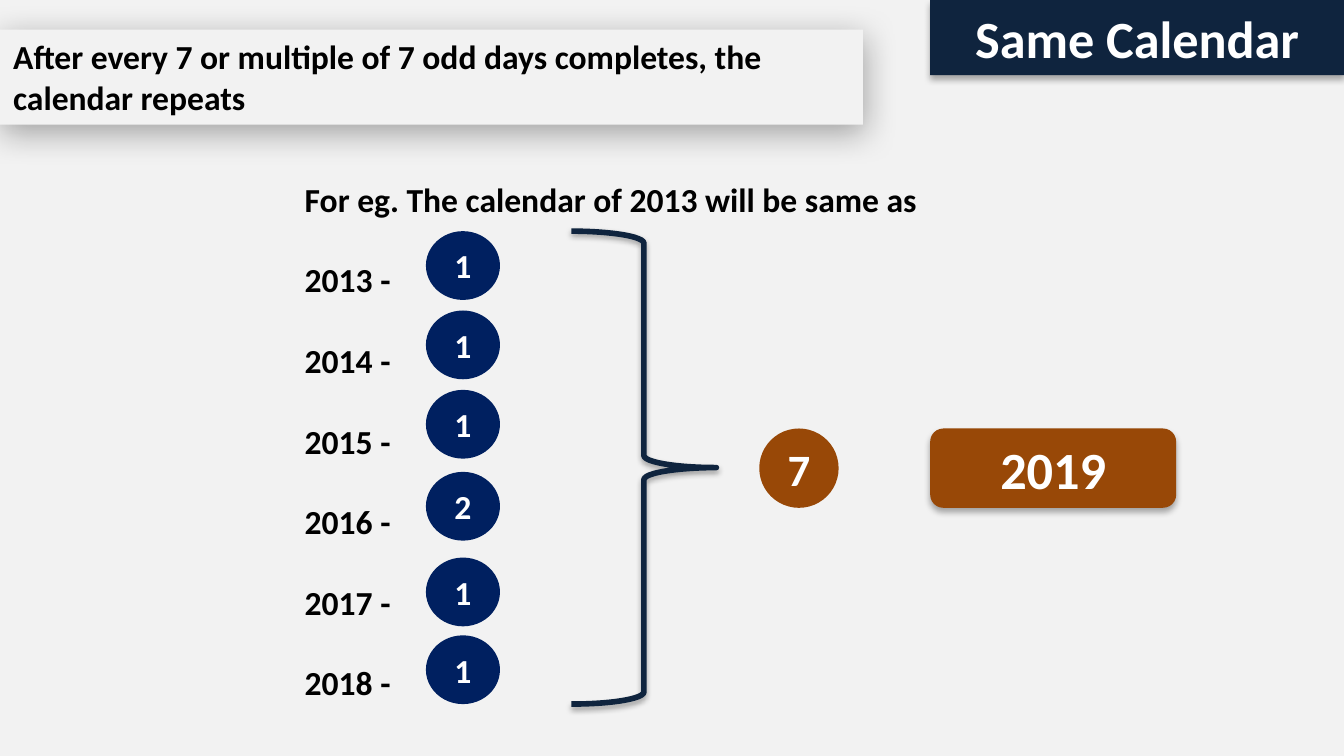
from lxml.etree import SubElement
from pptx import Presentation
from pptx.dml.color import RGBColor
from pptx.enum.shapes import MSO_SHAPE
from pptx.enum.text import MSO_ANCHOR, MSO_AUTO_SIZE, PP_ALIGN
from pptx.oxml.ns import qn
from pptx.util import Cm, Pt

NAVY, BLUE, BROWN = "0F243E", "002060", "984807"
PAPER, WHITE, BLACK = "F2F2F2", "FFFFFF", "000000"
SOFT_SHADOW = (32, 3.5, 2.2, 90)
WIDE_SHADOW = (33, 17.8, 4, 87)
BRACE_SHADOW = (35, 3.1, 1.8, 90)


def colour(value):
    return RGBColor.from_string(value)


class SlideBuilder:
    font = "Calibri"

    def __init__(self, page):
        self.page = page
        page.background.fill.solid()
        page.background.fill.fore_color.rgb = colour(PAPER)

    def fill_text(self, frame, lines, size, ink, align, spacing=None):
        frame.word_wrap = True
        frame.text = "\n".join(lines)
        for para in frame.paragraphs:
            para.alignment = align
            para.line_spacing = spacing
            para.font.name = self.font
            para.font.size = Pt(size)
            para.font.bold = True
            para.font.color.rgb = colour(ink)

    def shape(self, kind, place, shadow=None):
        shape = self.page.shapes.add_shape(kind, *map(Cm, place))
        shape.shadow.inherit = False
        if shadow:
            opacity, blur, distance, angle = shadow
            effects = shape._element.spPr.find(qn("a:effectLst"))
            outer = SubElement(
                effects, qn("a:outerShdw"), blurRad=str(Pt(blur)),
                dist=str(Pt(distance)), dir=str(angle * 60000), rotWithShape="0")
            shade = SubElement(outer, qn("a:srgbClr"), val=BLACK)
            SubElement(shade, qn("a:alpha"), val=str(opacity * 1000))
        return shape

    def box(self, kind, place, text, fill, size=18, ink=WHITE, shadow=None,
            align=PP_ALIGN.CENTER, anchor=MSO_ANCHOR.MIDDLE):
        box = self.shape(kind, place, shadow)
        box.fill.solid()
        box.fill.fore_color.rgb = colour(fill)
        box.line.fill.background()
        box.text_frame.vertical_anchor = anchor
        self.fill_text(box.text_frame, [text], size, ink, align)

    def brace(self, place):
        brace = self.shape(MSO_SHAPE.RIGHT_BRACE, place, BRACE_SHADOW)
        brace.fill.background()
        brace.line.color.rgb = colour(NAVY)
        brace.line.width = Pt(3)

    def text(self, place, lines, spacing):
        box = self.page.shapes.add_textbox(*map(Cm, place))
        self.fill_text(box.text_frame, lines, 18, BLACK, PP_ALIGN.LEFT, spacing)
        box.text_frame.auto_size = MSO_AUTO_SIZE.SHAPE_TO_FIT_TEXT


def main():
    deck = Presentation()
    deck.slide_width, deck.slide_height = Cm(25.4), Cm(14.29)
    slide = SlideBuilder(deck.slides.add_slide(deck.slide_layouts[6]))

    slide.box(MSO_SHAPE.RECTANGLE, (17.58, 0, 7.82, 1.42), "Same Calendar", NAVY,
              size=28, shadow=SOFT_SHADOW, anchor=MSO_ANCHOR.TOP)
    slide.box(MSO_SHAPE.RECTANGLE, (0, 0.56, 16.31, 1.8),
              "After every 7 or multiple of 7 odd days completes, the calendar repeats",
              PAPER, ink=BLACK, shadow=WIDE_SHADOW, align=PP_ALIGN.LEFT,
              anchor=MSO_ANCHOR.TOP)

    years = [f"{year} -" for year in range(2013, 2019)]
    slide.text((5.51, 2.49, 17.68, 11.02),
               ["For eg. The calendar of 2013 will be same as", *years], 2.0)

    odd_days = [(4.37, 1), (5.87, 1), (7.37, 1), (8.92, 2), (10.54, 1), (12.01, 1)]
    for top, days in odd_days:
        slide.box(MSO_SHAPE.OVAL, (8.05, top, 1.4, 1.3), str(days), BLUE)

    slide.brace((10.8, 4.37, 2.74, 8.94))
    total = sum(days for top, days in odd_days)
    slide.box(MSO_SHAPE.OVAL, (14.35, 8.1, 1.5, 1.5), str(total), BROWN, size=24)
    slide.box(MSO_SHAPE.ROUNDED_RECTANGLE, (17.58, 8.1, 4.65, 1.5), "2019", BROWN,
              size=28, shadow=SOFT_SHADOW)

    deck.save("out.pptx")


if __name__ == "__main__":
    main()
